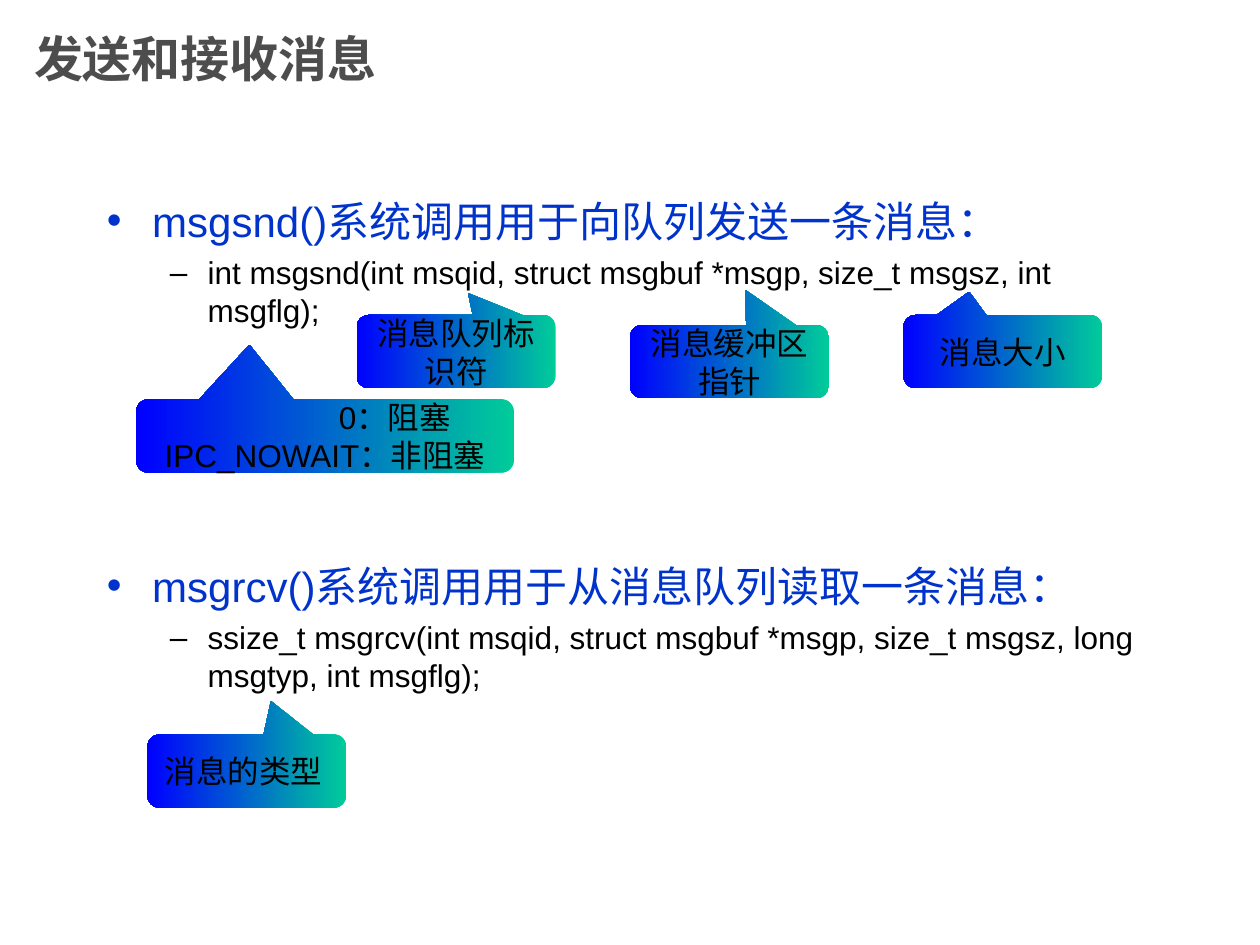
from lxml import etree
from pptx import Presentation
from pptx.dml.color import RGBColor
from pptx.enum.shapes import MSO_SHAPE
from pptx.enum.text import MSO_ANCHOR, PP_ALIGN
from pptx.oxml.ns import qn
from pptx.util import Inches, Pt

CALLOUT = MSO_SHAPE.ROUNDED_RECTANGULAR_CALLOUT
MIDDLE, TOP = MSO_ANCHOR.MIDDLE, MSO_ANCHOR.TOP
LEFT, CENTER = PP_ALIGN.LEFT, PP_ALIGN.CENTER

GREY = RGBColor(0x4D, 0x4D, 0x4D)
BLUE = RGBColor(0x00, 0x33, 0xCC)
BLACK = RGBColor(0x00, 0x00, 0x00)
GREEN_END = RGBColor(0x00, 0xCC, 0x99)
BLUE_END = RGBColor(0x00, 0x00, 0xFF)


def add_run(paragraph, text, size, color, bold=False):
    run = paragraph.add_run()
    run.text = text
    run.font.name = "Arial"
    run.font.size = Pt(size)
    run.font.color.rgb = color
    run.font.bold = bold


def set_bullet(paragraph, char, margin, hanging):
    props = paragraph._p.get_or_add_pPr()
    props.set("marL", str(Inches(margin)))
    props.set("indent", str(-Inches(hanging)))
    etree.SubElement(props, qn("a:buFont")).set("typeface", "Arial")
    etree.SubElement(props, qn("a:buChar")).set("char", char)


prs = Presentation()
prs.slide_width, prs.slide_height = Inches(10), Inches(7.5)
slide = prs.slides.add_slide(prs.slide_layouts[5])

# Title
title = slide.shapes.title
title.left, title.top = Inches(0.17), Inches(0)
title.width, title.height = Inches(7.5), Inches(0.92)
title.text_frame.vertical_anchor = MIDDLE
heading = title.text_frame.paragraphs[0]
heading.alignment = LEFT
add_run(heading, "发送和接收消息", 28, GREY, bold=True)

# System calls: description, signature, space before the description
calls = [
    ("msgsnd()系统调用用于向队列发送一条消息：",
     "int msgsnd(int msqid, struct msgbuf *msgp, size_t msgsz, int msgflg);", 6),
    ("msgrcv()系统调用用于从消息队列读取一条消息：",
     "ssize_t msgrcv(int msqid, struct msgbuf *msgp, size_t msgsz, long msgtyp, int msgflg);", 132),
]
body = slide.shapes.add_textbox(Inches(0.75), Inches(1.5), Inches(8.5), Inches(5.17)).text_frame
body.word_wrap = True
body.vertical_anchor = TOP
for index, (description, signature, gap) in enumerate(calls):
    call = body.add_paragraph() if index else body.paragraphs[0]
    call.space_before = Pt(gap)
    set_bullet(call, "•", 0.36, 0.36)
    add_run(call, description, 24, BLUE)

    prototype = body.add_paragraph()
    prototype.level = 1
    prototype.space_before = Pt(4.5)
    set_bullet(prototype, "–", 0.8, 0.3)
    add_run(prototype, signature, 18, BLACK)

# Parameter callouts: left, top, width, pointer x and y, lines with their left margin
callouts = [
    (2.83, 2.5, 1.58, 0.06, -0.8, [("消息队列标识符", 0)]),
    (5, 2.58, 1.58, 0.08, -0.98, [("消息缓冲区指针", 0)]),
    (7.17, 2.5, 1.58, -0.17, -0.82, [("消息大小", 0)]),
    (1.08, 3.17, 3, -0.2, -1.25, [("0：阻塞", 1.11), ("IPC_NOWAIT：非阻塞", 0)]),
    (1.17, 5.83, 1.58, 0.12, -0.96, [("消息的类型 ", 0)]),
]
for left, top, width, tip_x, tip_y, lines in callouts:
    callout = slide.shapes.add_shape(CALLOUT, Inches(left), Inches(top), Inches(width), Inches(0.58))
    callout.adjustments[0] = tip_x
    callout.adjustments[1] = tip_y
    callout.shadow.inherit = False
    callout.line.fill.background()
    callout.fill.gradient()
    callout.fill.gradient_angle = 180
    for stop, color in zip(callout.fill.gradient_stops, (GREEN_END, BLUE_END)):
        stop.color.rgb = color

    label = callout.text_frame
    label.word_wrap = True
    label.vertical_anchor = MIDDLE
    for index, (text, margin) in enumerate(lines):
        line = label.add_paragraph() if index else label.paragraphs[0]
        line.alignment = CENTER
        line._p.get_or_add_pPr().set("marL", str(Inches(margin)))
        add_run(line, text, 18, BLACK)

prs.save("out.pptx")
